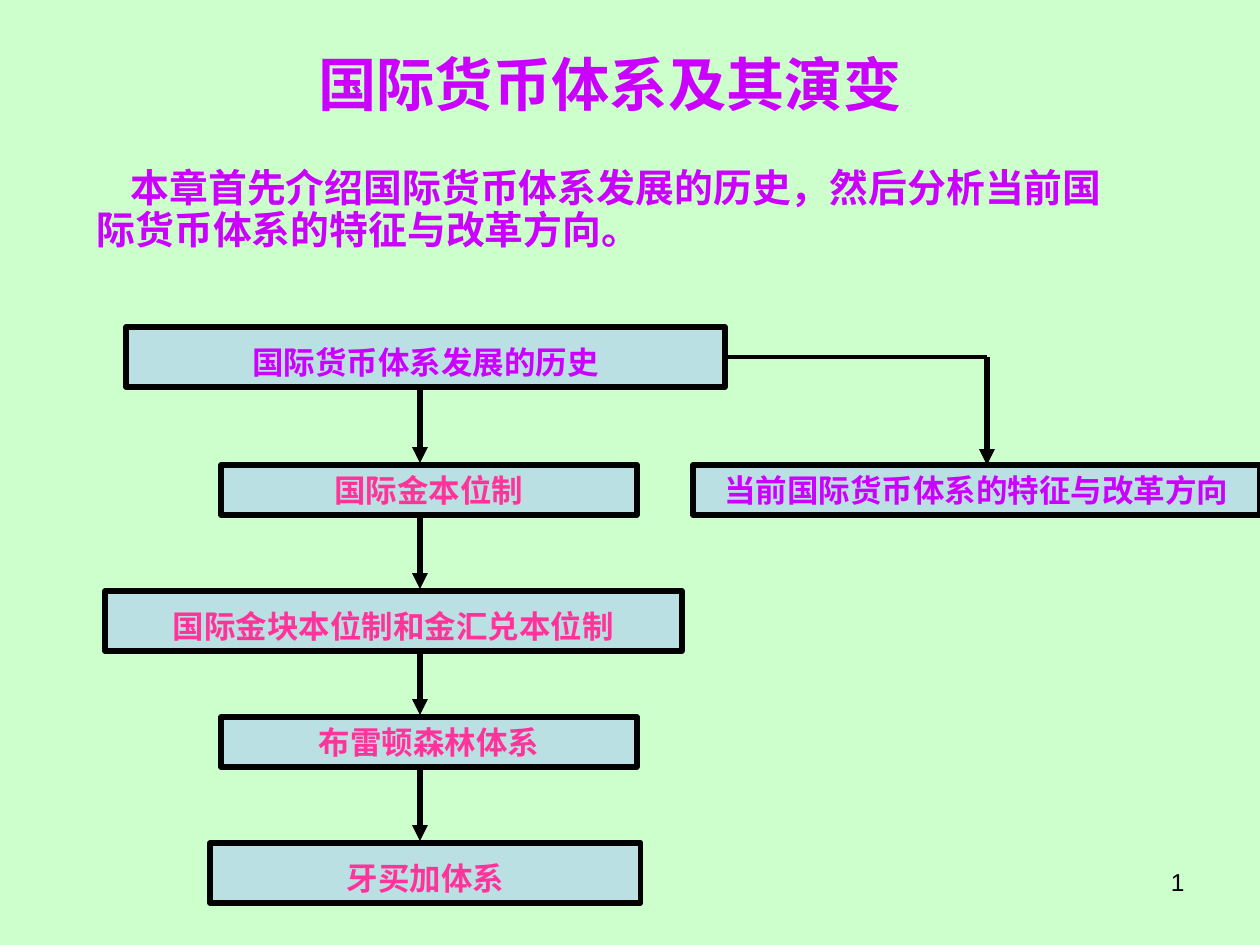
from lxml import etree
from pptx import Presentation, util as u
from pptx.dml.color import RGBColor
from pptx.enum import shapes, text
from pptx.oxml.ns import qn

THEME = {
    "page": "CCFFCC", "box": "BBE0E3", "line": "000000",
    "violet": "CC00FF", "pink": "FF3399",
    "latin": "Arial", "chinese": "Noto Sans CJK SC",
    "title": 33.3, "intro": 22.2, "label": 18, "number": 14,
    "border": 3, "branch": 2.25,
}
TITLE = "国际货币体系及其演变"
INTRO = "本章首先介绍国际货币体系发展的历史，然后分析当前国际货币体系的特征与改革方向。"
STAGES = [
    ("国际货币体系发展的历史", 126, 599, 60, "violet"),
    ("国际金本位制", 221, 416, 50, "pink"),
    ("国际金块本位制和金汇兑本位制", 105, 577, 60, "pink"),
    ("布雷顿森林体系", 221, 416, 50, "pink"),
    ("牙买加体系", 210, 431, 60, "pink"),
]
REFORM = ("当前国际货币体系的特征与改革方向", 693, 567, 50, "violet")
TOPS = [327] + [465 + 126 * step for step in range(4)]
ARROW_X, BRANCH_X, BRANCH_Y = 420, 987, 357


def px(value):
    return round(value * 914400 / 126)


def colour(name):
    return RGBColor.from_string(THEME[name])


def place(item, left, top, width, height):
    item.left, item.top, item.width, item.height = map(px, (left, top, width, height))


def write(frame, words, size, ink, align, spacing=1.0, bold=True, face="latin"):
    frame.word_wrap = True
    frame.auto_size = text.MSO_AUTO_SIZE.NONE
    para = frame.paragraphs[0]
    para.alignment = align
    para.line_spacing = spacing
    para.space_before = u.Pt(0)
    span = para.add_run()
    span.text = words
    span.font.size = u.Pt(THEME[size])
    span.font.bold = bold
    span.font.color.rgb = colour(ink)
    span.font.name = THEME[face]
    east = etree.SubElement(span.font._element, qn("a:ea"))
    east.set("typeface", THEME["chinese"])
    return para


def add_box(page, item, top):
    words, left, width, height, ink = item
    box = page.shapes.add_shape(
        shapes.MSO_SHAPE.RECTANGLE, px(left), px(top), px(width), px(height))
    box.shadow.inherit = False
    box.fill.solid()
    box.fill.fore_color.rgb = colour("box")
    box.line.color.rgb = colour("line")
    box.line.width = u.Pt(THEME["border"])
    box.text_frame.vertical_anchor = text.MSO_ANCHOR.MIDDLE
    write(box.text_frame, words, "label", ink, text.PP_ALIGN.CENTER,
          1.25 if height == 60 else 1.0)
    return box


def add_line(page, start, end, weight="border", arrow=True):
    line = page.shapes.add_connector(
        shapes.MSO_CONNECTOR.STRAIGHT, *map(px, start + end))
    line.line.color.rgb = colour("line")
    line.line.width = u.Pt(THEME[weight])
    if arrow:
        stroke = line.line._get_or_add_ln()
        etree.SubElement(stroke, qn("a:tailEnd")).set("type", "triangle")
    etree.SubElement(line._element.spPr, qn("a:effectLst"))
    return line


def main():
    deck = Presentation()
    deck.slide_width, deck.slide_height = u.Inches(10), u.Inches(7.5)
    page = deck.slides.add_slide(deck.slide_layouts[1])
    page.background.fill.solid()
    page.background.fill.fore_color.rgb = colour("page")

    title, body = page.placeholders
    place(title, 90, 42, 1040, 92)
    title.text_frame.vertical_anchor = text.MSO_ANCHOR.MIDDLE
    write(title.text_frame, TITLE, "title", "violet", text.PP_ALIGN.CENTER,
          0.9, face="chinese")
    place(body, 84, 163, 1040, 110)
    body.text_frame.vertical_anchor = text.MSO_ANCHOR.TOP
    para = write(body.text_frame, INTRO, "intro", "violet", text.PP_ALIGN.LEFT, 0.9)
    para.space_after = u.Pt(6)
    layout = para._p.get_or_add_pPr()
    layout.set("marL", "0")
    layout.set("indent", str(px(34)))
    etree.SubElement(layout, qn("a:buNone"))

    boxes = [add_box(page, stage, top) for stage, top in zip(STAGES, TOPS)]
    add_box(page, REFORM, TOPS[1])
    for stage, top, following in zip(STAGES, TOPS, TOPS[1:]):
        add_line(page, (ARROW_X, top + stage[3]), (ARROW_X, following - 2))
    add_line(page, (BRANCH_X, BRANCH_Y), (BRANCH_X, TOPS[1]))
    branch = add_line(page, (725, BRANCH_Y), (BRANCH_X, BRANCH_Y), "branch", False)
    branch.begin_connect(boxes[0], 3)

    number = page.shapes.add_textbox(px(903), px(861), px(294), px(66))
    write(number.text_frame, "1", "number", "line", text.PP_ALIGN.RIGHT, bold=False)
    deck.save("out.pptx")


if __name__ == "__main__":
    main()
